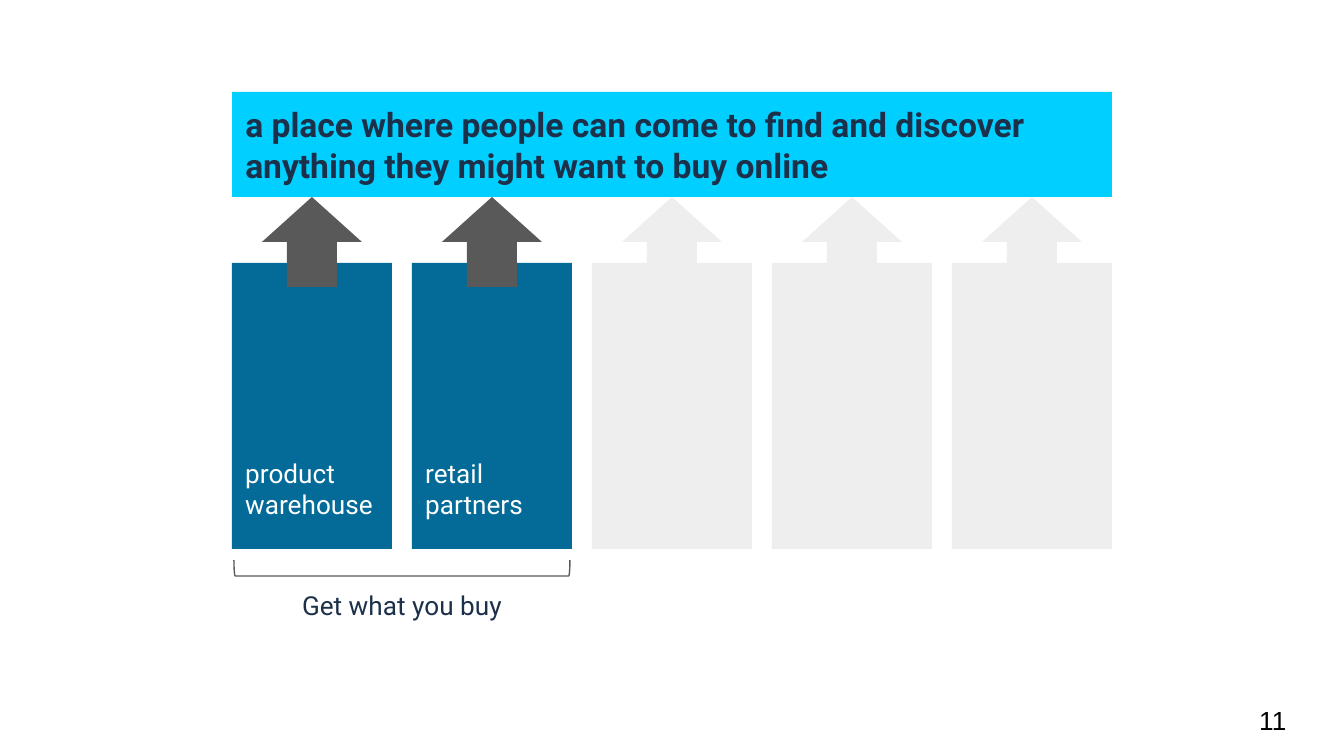
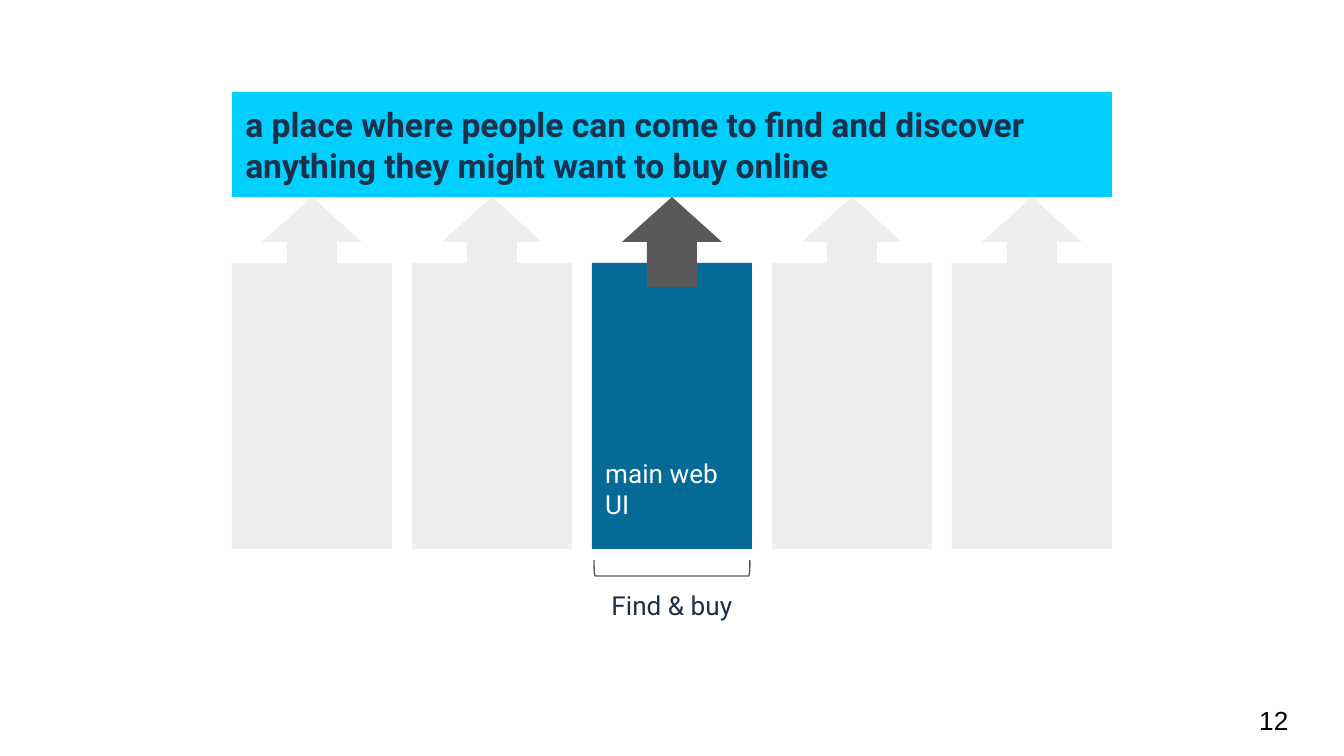
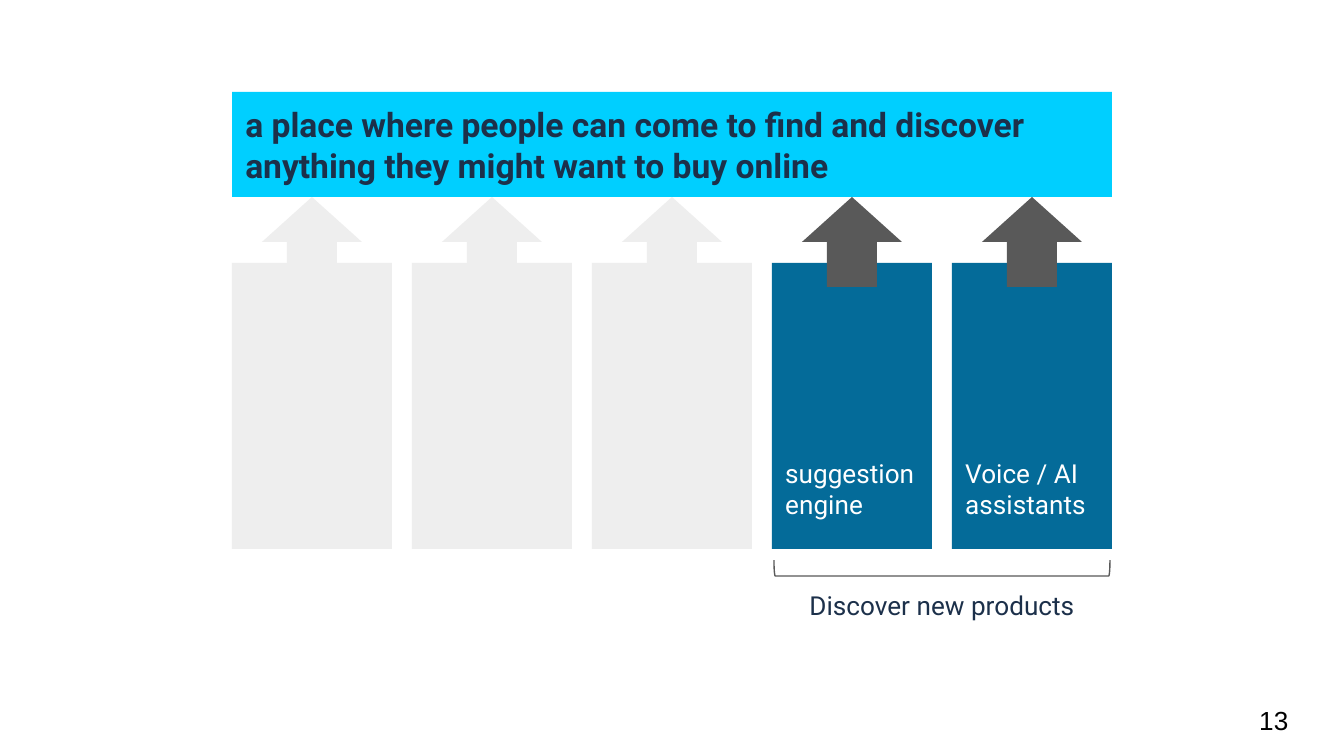
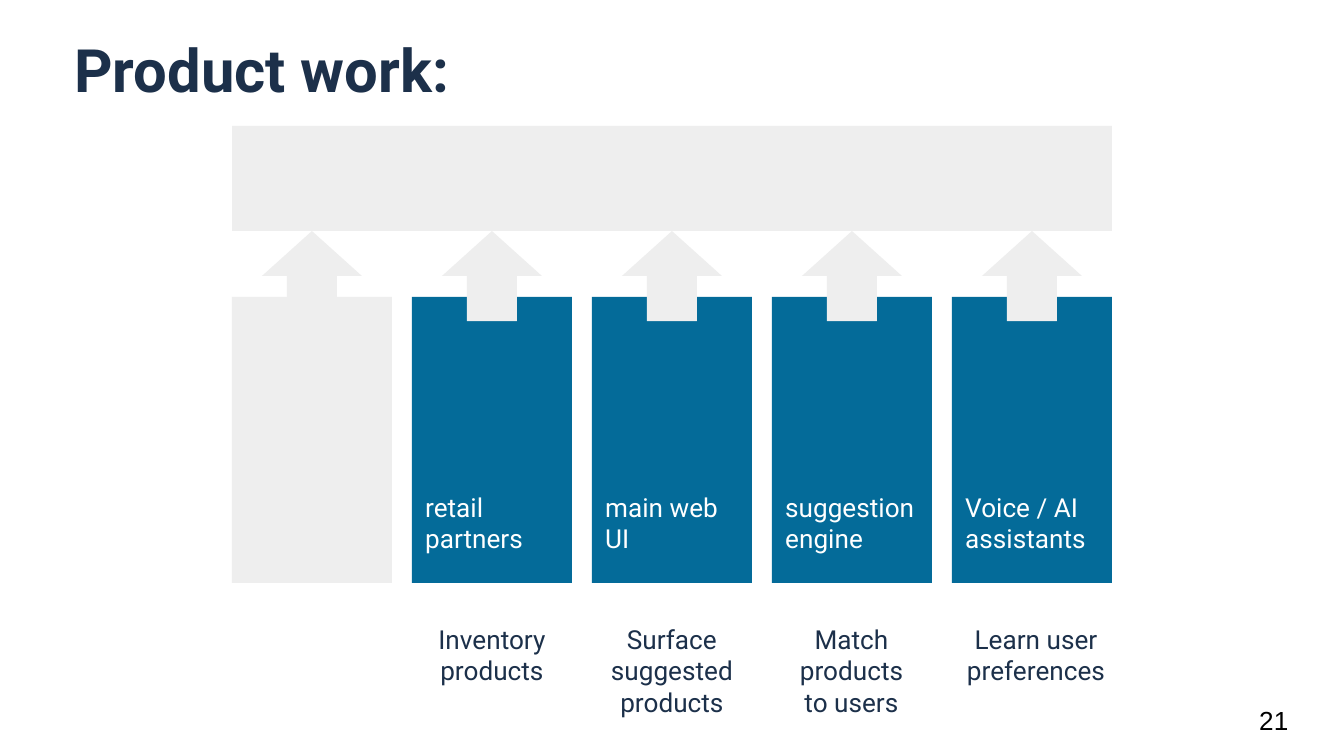
from pptx import Presentation
from pptx import util as u
from pptx.dml.color import RGBColor
from pptx.enum import shapes, text

PX = u.Inches(10) / 1344
NAVY, CYAN, BLUE = "1C304A", "00CFFF", "046B99"
DARK, DIM, WHITE, BLACK = "595959", "EEEEEE", "FFFFFF", "000000"
LEFT, COL_W, PITCH = 232, 160, 180
BANNER_TOP, BANNER_H, COL_TOP, COL_H = 92, 105, 263, 286

PILLARS = ["product warehouse", "retail partners", "main web UI",
           "suggestion engine", "Voice / AI assistants"]
GOAL = ("a place where people can come to find and discover "
        "anything they might want to buy online")

# number, title, downward shift, lit pillars,
# captions as (first pillar, pillars spanned, extra width, wording)
SLIDES = [
    (11, None, 0, [0, 1], [(0, 2, 0, "Get what you buy")]),
    (12, None, 0, [2], [(2, 1, 0, "Find & buy")]),
    (13, None, 0, [3, 4], [(3, 2, 0, "Discover new products")]),
    (21, "Product work:", 34, [1, 2, 3, 4], [
        (1, 1, 0, "Inventory products"),
        (2, 1, 0, "Surface suggested products"),
        (3, 1, -1, "Match products to users"),
        (4, 1, 8, "Learn user preferences")]),
]


def add_block(slide, kind, box, fill=None, line=None):
    """Add a preset shape, or a text box if kind is None."""
    box = [round(v * PX) for v in box]
    if kind is None:
        return slide.shapes.add_textbox(*box)
    sp = slide.shapes.add_shape(kind, *box)
    sp.shadow.inherit = False
    if fill:
        sp.fill.solid()
        sp.fill.fore_color.rgb = RGBColor.from_string(fill)
    else:
        sp.fill.background()
    if line:
        sp.line.color.rgb = RGBColor.from_string(line)
        sp.line.width = u.Pt(0.75)
    else:
        sp.line.fill.background()
    return sp


def write(sp, words, size, color, bold=False, font="Roboto",
          align=text.PP_ALIGN.LEFT, anchor=text.MSO_ANCHOR.TOP):
    tf = sp.text_frame
    tf.word_wrap = True
    tf.auto_size = text.MSO_AUTO_SIZE.NONE
    tf.vertical_anchor = anchor
    tf.margin_left = tf.margin_right = u.Inches(0.1)
    tf.margin_top = tf.margin_bottom = u.Inches(0.1)
    p = tf.paragraphs[0]
    p.alignment = align
    r = p.add_run()
    r.text = words
    r.font.name, r.font.size, r.font.bold = font, u.Pt(size), bold
    r.font.color.rgb = RGBColor.from_string(color)


prs = Presentation()
prs.slide_width, prs.slide_height = round(1344 * PX), round(756 * PX)
TITLE_ONLY, BLANK = prs.slide_layouts[5], prs.slide_layouts[6]
MIDDLE = text.MSO_ANCHOR.MIDDLE
SHAPE = shapes.MSO_SHAPE

for number, title, shift, lit, captions in SLIDES:
    s = prs.slides.add_slide(TITLE_ONLY if title else BLANK)
    if title:
        sp = s.shapes.title
        sp.left, sp.top, sp.width, sp.height = [
            round(v * PX) for v in (61, 19, 741, 90)]
        write(sp, title, 32, NAVY, bold=True)

    page = add_block(s, None, (1246, 701, 81, 39))
    write(page, str(number), 14, BLACK, font="Arial", anchor=MIDDLE)

    # The titled slide plays down the goal and its arrows
    banner = add_block(s, SHAPE.RECTANGLE,
                       (LEFT, BANNER_TOP + shift, 4 * PITCH + COL_W, BANNER_H),
                       DIM if title else CYAN)
    if not title:
        write(banner, GOAL, 18, NAVY, bold=True, anchor=MIDDLE)

    for i, pillar in enumerate(PILLARS):
        x, y = LEFT + i * PITCH, COL_TOP + shift
        add_block(s, SHAPE.RECTANGLE, (x, y, COL_W, COL_H),
                  BLUE if i in lit else DIM)
        add_block(s, SHAPE.UP_ARROW,
                  (x + 30, BANNER_TOP + BANNER_H + shift, 100, 90),
                  DARK if i in lit and not title else DIM)
        if i in lit:
            label = add_block(s, None, (x, y + 181, COL_W, 105))
            write(label, pillar, 14, WHITE)

    for first, count, extra, words in captions:
        x, span = LEFT + first * PITCH, (count - 1) * PITCH + COL_W
        caption = add_block(s, None, (x, 576 + shift, span + extra, 90))
        write(caption, words, 14, NAVY, align=text.PP_ALIGN.CENTER)
        if not title:
            length, depth = span - 4, 16
            bracket = add_block(s, SHAPE.LEFT_BRACKET,
                                (x + (span - depth) / 2, 568 - length / 2,
                                 depth, length), line=DARK)
            bracket.rotation = 270
            bracket.adjustments[0] = 0.08

prs.save("out.pptx")
